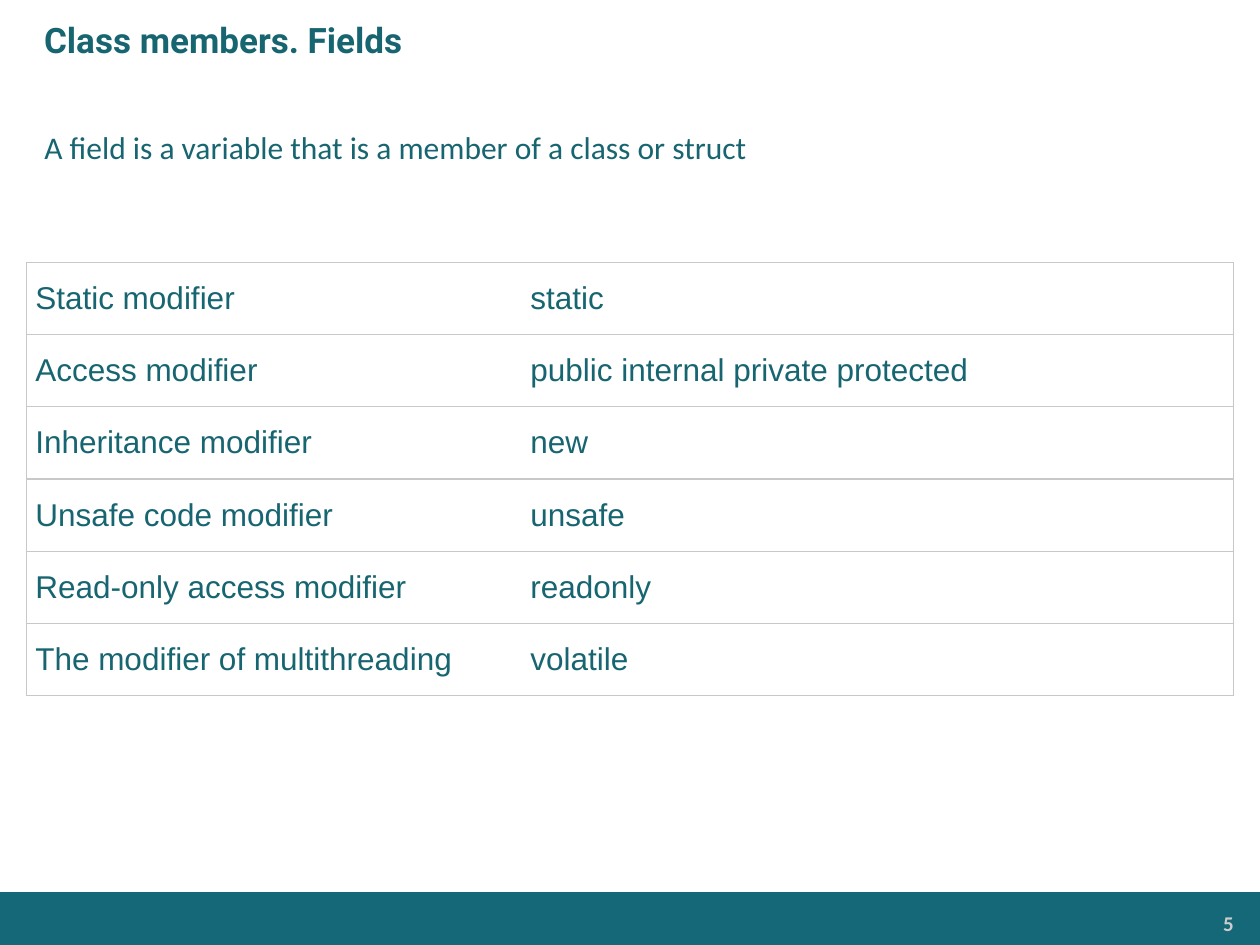
from lxml.etree import SubElement
from pptx import Presentation
from pptx.dml.color import RGBColor
from pptx.enum.shapes import MSO_SHAPE as Preset
from pptx.enum.text import MSO_ANCHOR as Anchor, PP_ALIGN as Align
from pptx.oxml.ns import qn
from pptx.util import Pt

COLORS = {
    "bar": "146878",
    "text": "176571",
    "number": "CCCCCC",
    "border": "C8C8C8",
}
MODIFIERS = [
    ("Static modifier", "static"),
    ("Access modifier", "public internal private protected"),
    ("Inheritance modifier", "new"),
    ("Unsafe code modifier", "unsafe"),
    ("Read-only access modifier", "readonly"),
    ("The modifier of multithreading", "volatile"),
]
FIRST_COLUMN_SHARE = 0.41


def write_text(frame, text, font="Arial", size=18, color="text", bold=False,
               align=Align.LEFT, anchor=Anchor.MIDDLE):
    frame.word_wrap = True
    frame.vertical_anchor = anchor
    paragraph = frame.paragraphs[0]
    paragraph.alignment = align
    run = paragraph.add_run()
    run.text = text
    run.font.name = font
    run.font.size = Pt(size)
    run.font.bold = bold
    run.font.color.rgb = RGBColor.from_string(COLORS[color])


def set_margins(frame, left, top, right, bottom):
    frame.margin_left, frame.margin_top = Pt(left), Pt(top)
    frame.margin_right, frame.margin_bottom = Pt(right), Pt(bottom)


def add_plain_shape(slide, preset, left, top, width, height):
    """Add a shape with no shadow, fill or line."""
    shape = slide.shapes.add_shape(preset, Pt(left), Pt(top), Pt(width), Pt(height))
    shape.shadow.inherit = False
    shape.fill.background()
    shape.line.fill.background()
    return shape


def add_footer(slide, left, top, width, height, number):
    bar = add_plain_shape(slide, Preset.RECTANGLE, left, top, width, height)
    bar.fill.solid()
    bar.fill.fore_color.rgb = RGBColor.from_string(COLORS["bar"])
    box = slide.shapes.add_textbox(Pt(left + width - 127.5), Pt(top + 8),
                                   Pt(117.5), Pt(20))
    set_margins(box.text_frame, 5, 2.5, 5, 2.5)
    write_text(box.text_frame, number, font="Calibri", size=12, color="number",
               bold=True, align=Align.RIGHT, anchor=Anchor.TOP)


def add_title(slide, left, top, width, height, text):
    box = slide.shapes.add_textbox(Pt(left), Pt(top), Pt(width), Pt(height))
    set_margins(box.text_frame, 25.2, 3.6, 7.2, 3.6)
    write_text(box.text_frame, text, font="Roboto", size=20, bold=True)


def add_definition(slide, left, top, width, height, text):
    panel = add_plain_shape(slide, Preset.ROUNDED_RECTANGLE, left, top, width, height)
    set_margins(panel.text_frame, 9, 4.5, 9, 4.5)
    write_text(panel.text_frame, text, font="Calibri")


def set_borders(cell, visible):
    """Draw the sides named in visible and hide the others."""
    properties = cell._tc.get_or_add_tcPr()
    for side in "LRTB":
        line = SubElement(properties, qn(f"a:ln{side}"), w=str(Pt(0.75)))
        if side in visible:
            fill = SubElement(line, qn("a:solidFill"))
            SubElement(fill, qn("a:srgbClr"), val=COLORS["border"])
        else:
            SubElement(line, qn("a:noFill"))


def add_modifier_table(slide, left, top, width, height, rows):
    table = slide.shapes.add_table(len(rows), 2, Pt(left), Pt(top),
                                   Pt(width), Pt(height)).table
    table.first_row = table.horz_banding = False
    first_width = width * FIRST_COLUMN_SHARE
    table.columns[0].width = Pt(first_width)
    table.columns[1].width = Pt(width - first_width)
    for row_index, row in enumerate(rows):
        for column_index, text in enumerate(row):
            cell = table.cell(row_index, column_index)
            set_borders(cell, "TB" + "LR"[column_index])
            cell.fill.background()
            set_margins(cell, 5.2, 3.6, 5.2, 3.6)
            cell.vertical_anchor = Anchor.MIDDLE
            write_text(cell.text_frame, text, anchor=None)


def main():
    presentation = Presentation()
    presentation.slide_width, presentation.slide_height = Pt(720), Pt(540)
    slide = presentation.slides.add_slide(presentation.slide_layouts[6])
    add_footer(slide, 0, 509.8, 720, 30.2, "5")
    add_title(slide, 0, 0, 720, 45.5, "Class members. Fields")
    add_definition(slide, 13.5, 54, 693, 60,
                   "A field is a variable that is a member of a class or struct")
    add_modifier_table(slide, 15, 150, 690, 247.5, MODIFIERS)
    presentation.save("out.pptx")


if __name__ == "__main__":
    main()
